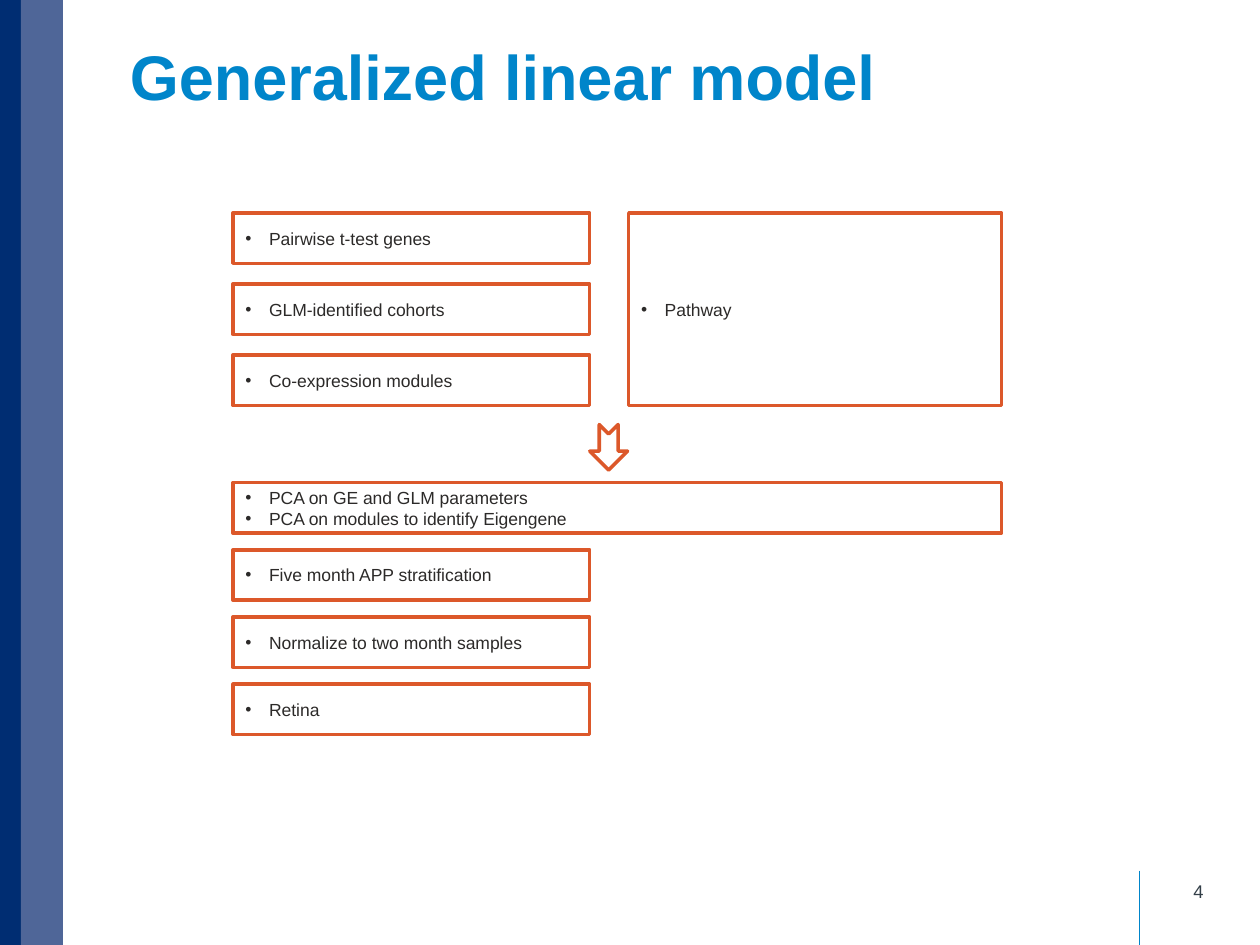
"""Build the generalized linear model slide: analysis boxes leading to a PCA step."""
import dataclasses

import lxml.etree
import pptx
import pptx.dml.color
import pptx.enum.shapes
import pptx.enum.text
import pptx.oxml.ns
import pptx.util

Pt = pptx.util.Pt
RGBColor = pptx.dml.color.RGBColor
Shapes = pptx.enum.shapes.MSO_SHAPE
Anchor = pptx.enum.text.MSO_ANCHOR
Align = pptx.enum.text.PP_ALIGN
qn = pptx.oxml.ns.qn


@dataclasses.dataclass(frozen=True)
class Theme:
    font: str = "Arial"
    title_size: float = 36
    number_size: float = 10.5
    body_size: float = 10
    title: str = "0085CA"
    navy: str = "002D72"
    slate: str = "4F6698"
    accent: str = "DC582A"
    body: str = "2C2A29"
    number: str = "333F48"
    white: str = "FFFFFF"


THEME = Theme()
LEFT, BOX_WIDTH, BOX_HEIGHT = 133.2, 203.8, 28.8
INPUT_TOP, INPUT_STEP = 121.7, 40.6
RESULT_TOP, RESULT_STEP = 275.8, 38.4
PATHWAY_LEFT, RIGHT = 359.3, 572.4
INPUTS = ["Pairwise t-test genes", "GLM-identified cohorts", "Co-expression modules"]
PCA_STEPS = "PCA on GE and GLM parameters\nPCA on modules to identify Eigengene"
RESULTS = ["Five month APP stratification", "Normalize to two month samples", "Retina"]


def add_bullet(paragraph, indent=13.5):
    properties = paragraph._p.get_or_add_pPr()
    properties.set("marL", str(Pt(indent)))
    properties.set("indent", str(-Pt(indent)))
    lxml.etree.SubElement(properties, qn("a:buFont"), typeface=THEME.font)
    lxml.etree.SubElement(properties, qn("a:buChar"), char="•")


def write_text(shape, text, *, size, color, bold=False, align=Align.LEFT,
               anchor=Anchor.MIDDLE, bullet=False):
    frame = shape.text_frame
    frame.text = text
    frame.word_wrap = True
    frame.auto_size = pptx.enum.text.MSO_AUTO_SIZE.NONE
    frame.vertical_anchor = anchor
    for paragraph in frame.paragraphs:
        paragraph.alignment = align
        if bullet:
            add_bullet(paragraph)
        font = paragraph.runs[0].font
        font.name, font.size, font.bold = THEME.font, Pt(size), bold
        font.color.rgb = RGBColor.from_string(color)


def add_shape(slide, kind, left, top, width, height, fill, line=None):
    shape = slide.shapes.add_shape(kind, Pt(left), Pt(top), Pt(width), Pt(height))
    shape.shadow.inherit = False
    shape.fill.solid()
    shape.fill.fore_color.rgb = RGBColor.from_string(fill)
    if line:
        shape.line.color.rgb = RGBColor.from_string(line)
        shape.line.width = Pt(2)
    else:
        shape.line.fill.background()
    return shape


def add_box(slide, text, top, left=LEFT, width=BOX_WIDTH, height=BOX_HEIGHT):
    box = add_shape(slide, Shapes.RECTANGLE, left, top, width, height,
                    THEME.white, THEME.accent)
    write_text(box, text, size=THEME.body_size, color=THEME.body, bullet=True)


def add_down_arrow(slide):
    arrow = add_shape(slide, Shapes.NOTCHED_RIGHT_ARROW, 334.8, 244.8, 26, 21.6,
                      THEME.white, THEME.accent)
    arrow.rotation = 90


def add_frame(slide):
    rule = slide.shapes.add_connector(pptx.enum.shapes.MSO_CONNECTOR.STRAIGHT,
                                      Pt(651), Pt(497.5), Pt(651), Pt(540))
    rule.line.color.rgb = RGBColor.from_string(THEME.title)
    rule.line.width = Pt(0.25)
    lxml.etree.SubElement(rule._element.spPr, qn("a:effectLst"))
    add_shape(slide, Shapes.RECTANGLE, 0, 0, 12, 540, THEME.navy)
    add_shape(slide, Shapes.RECTANGLE, 12, 0, 24, 540, THEME.slate)


def add_title(slide, text):
    title = slide.shapes.title
    title.left, title.top, title.width, title.height = Pt(74.2), Pt(0.7), Pt(620.6), Pt(67.7)
    title.text_frame.margin_left = 0
    write_text(title, text, size=THEME.title_size, color=THEME.title,
               bold=True, anchor=Anchor.BOTTOM)


def add_slide_number(slide, text):
    number = slide.shapes.add_textbox(Pt(527), Pt(494.6), Pt(167.8), Pt(28.8))
    write_text(number, text, size=THEME.number_size, color=THEME.number, align=Align.RIGHT)


def main():
    presentation = pptx.Presentation()
    presentation.slide_width, presentation.slide_height = Pt(720), Pt(540)
    slide = presentation.slides.add_slide(presentation.slide_layouts.get_by_name("Title Only"))
    add_frame(slide)
    add_title(slide, "Generalized linear model")
    add_slide_number(slide, "4")
    for row, text in enumerate(INPUTS):
        add_box(slide, text, INPUT_TOP + row * INPUT_STEP)
    add_box(slide, "Pathway", INPUT_TOP, PATHWAY_LEFT, RIGHT - PATHWAY_LEFT,
            2 * INPUT_STEP + BOX_HEIGHT)
    add_down_arrow(slide)
    add_box(slide, PCA_STEPS, RESULT_TOP, width=RIGHT - LEFT)
    for row, text in enumerate(RESULTS, start=1):
        add_box(slide, text, RESULT_TOP + row * RESULT_STEP)
    presentation.save("out.pptx")


if __name__ == "__main__":
    main()
